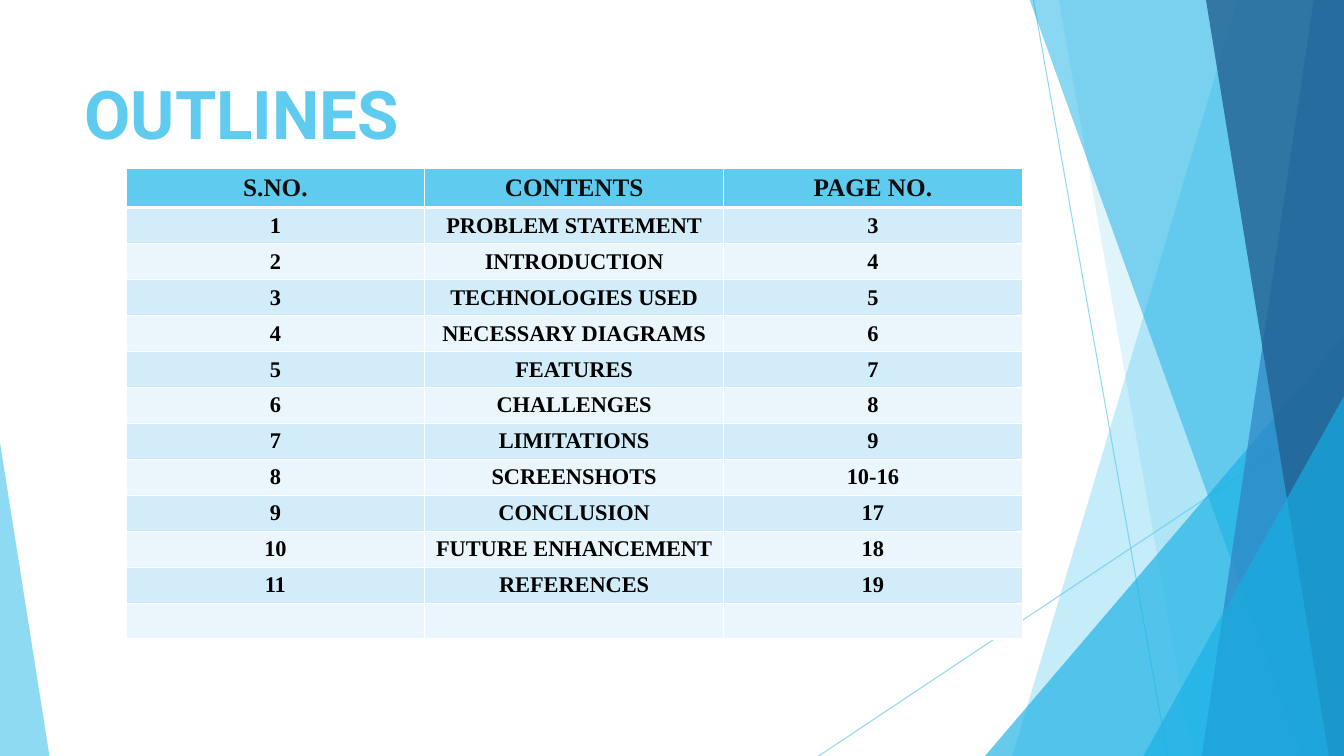
from pptx import Presentation
from pptx.dml.color import RGBColor
from pptx.enum.shapes import MSO_CONNECTOR, MSO_SHAPE
from pptx.enum.text import MSO_ANCHOR, PP_ALIGN
from pptx.oxml.ns import qn
from pptx.util import Inches, Pt
from lxml import etree

LINE, TRIANGLE = MSO_CONNECTOR.STRAIGHT, MSO_SHAPE.ISOSCELES_TRIANGLE
CENTER, TOP, MIDDLE = PP_ALIGN.CENTER, MSO_ANCHOR.TOP, MSO_ANCHOR.MIDDLE

W, H = 13.33, 7.5
SKY, AZURE, BLUE, NAVY = "5FCBEF", "17B0E4", "2E83C3", "226292"
WHITE, BLACK, INK = "FFFFFF", "000000", "0D0D0D"
BANDS = ["D2ECF9", "EAF6FC"]

TITLE = "OUTLINES"
HEADER = ["S.NO.", "CONTENTS", "PAGE NO."]
CONTENTS = [
    ("PROBLEM STATEMENT", "3"),
    ("INTRODUCTION", "4"),
    ("TECHNOLOGIES USED", "5"),
    ("NECESSARY DIAGRAMS", "6"),
    ("FEATURES", "7"),
    ("CHALLENGES", "8"),
    ("LIMITATIONS", "9"),
    ("SCREENSHOTS", "10-16"),
    ("CONCLUSION", "17"),
    ("FUTURE ENHANCEMENT", "18"),
    ("REFERENCES", "19"),
]
ROWS = [HEADER] + [[str(i), *row] for i, row in enumerate(CONTENTS, 1)] + [["", "", ""]]

RAYS = [((10.25, 0), (11.58, H)), ((W, 4.03), (8.12, H))]
# kind, geometry, colour, opacity
FACETS = [
    ("band", (12.28, 10.04), SKY, 36),
    ("band", (10.5, 11.83), SKY, 20),
    ("corner", (9.77, 3.33, W, 1), AZURE, 66),
    ("band", (10.21, 12.91), AZURE, 50),
    ("band", (13.03, 11.92), BLUE, 70),
    ("band", (11.96, 13.18), NAVY, 80),
    ("corner", (11.34, 3.93, W, 1), AZURE, 66),
    ("corner", (0, 4.39, 0.49, 0), SKY, 70),
]


def rgb(color):
    return RGBColor.from_string(color)


def set_alpha(sp, opacity):
    clr = next(sp._element.spPr.iter(qn("a:srgbClr")))
    etree.SubElement(clr, qn("a:alpha")).set("val", str(opacity * 1000))


def add_ray(s, start, end):
    cx = s.shapes.add_connector(LINE, *map(Inches, start + end))
    cx.line.color.rgb = rgb(SKY)
    cx.line.width = Pt(0.75)
    set_alpha(cx, 70)
    etree.SubElement(cx._element.spPr, qn("a:effectLst"))


def add_facet(s, kind, geometry, color, opacity):
    if kind == "band":
        top_x, bottom_x = geometry
        fb = s.shapes.build_freeform(Inches(top_x), Inches(-0.01))
        corners = [(W, -0.01), (W, H), (bottom_x, H)]
        fb.add_line_segments([(Inches(x), Inches(y)) for x, y in corners])
        sp = fb.convert_to_shape()
    else:
        left, top, right, apex = geometry
        sp = s.shapes.add_shape(TRIANGLE, Inches(left), Inches(top),
                                Inches(right - left), Inches(H - top))
        sp.adjustments[0] = apex
    sp.shadow.inherit = False
    sp.fill.solid()
    sp.fill.fore_color.rgb = rgb(color)
    sp.line.fill.background()
    set_alpha(sp, opacity)


def add_run(p, text, size, font, color):
    r = p.add_run()
    r.text = text
    r.font.size, r.font.name, r.font.bold = Pt(size), font, True
    r.font.color.rgb = rgb(color)


def set_border(cell, side, width):
    ln = etree.SubElement(cell._tc.get_or_add_tcPr(), qn("a:" + side), w=str(Pt(width)))
    fill = etree.SubElement(ln, qn("a:solidFill"))
    etree.SubElement(fill, qn("a:srgbClr"), val=WHITE)


def add_contents(s):
    heights = [0.39] + [0.357] * (len(ROWS) - 1)
    table = s.shapes.add_table(len(ROWS), len(HEADER), Inches(1.25), Inches(1.67),
                               Inches(8.89), Inches(sum(heights))).table
    for i, row in enumerate(ROWS):
        table.rows[i].height = Inches(heights[i])
        for j, text in enumerate(row):
            cell = table.cell(i, j)
            cell.margin_top = cell.margin_bottom = 0
            cell.vertical_anchor = MIDDLE
            for side in ("lnL", "lnR", "lnT", "lnB"):
                thick = (i == 0 and side == "lnB") or (i == 1 and side == "lnT")
                set_border(cell, side, 3 if thick else 1)
            cell.fill.solid()
            cell.fill.fore_color.rgb = rgb(BANDS[(i - 1) % 2] if i else SKY)
            p = cell.text_frame.paragraphs[0]
            p.alignment = CENTER
            if text:
                add_run(p, text, 16 if i else 18, "Times New Roman", BLACK if i else INK)


def main():
    prs = Presentation()
    prs.slide_width, prs.slide_height = Inches(W), Inches(H)
    s = prs.slides.add_slide(prs.slide_layouts[6])
    for start, end in RAYS:
        add_ray(s, start, end)
    for facet in FACETS:
        add_facet(s, *facet)
    tf = s.shapes.add_textbox(Inches(0.74), Inches(0.67), Inches(9.4), Inches(1.44)).text_frame
    tf.word_wrap = True
    tf.vertical_anchor = TOP
    add_run(tf.paragraphs[0], TITLE, 48, "Roboto", SKY)
    add_contents(s)
    prs.save("out.pptx")


if __name__ == "__main__":
    main()
